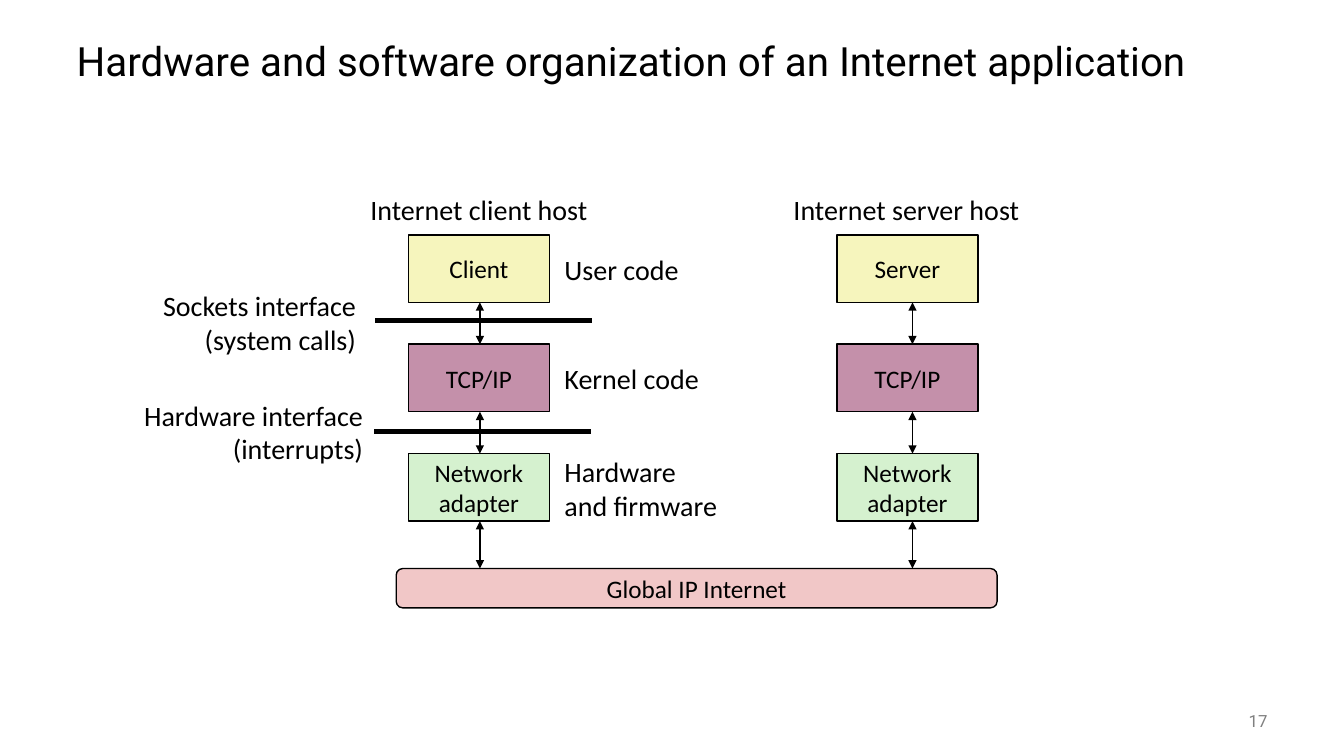
"""Build the slide on hardware and software organization of an Internet application."""
import pptx
import pptx.dml.color
import pptx.enum.shapes
import pptx.enum.text
import pptx.oxml
import pptx.oxml.ns
import pptx.util
from dataclasses import dataclass

Inches = pptx.util.Inches
Pt = pptx.util.Pt
RGB = pptx.dml.color.RGBColor.from_string
ALIGN = pptx.enum.text.PP_ALIGN
SHAPES = pptx.enum.shapes.MSO_SHAPE


@dataclass(frozen=True)
class Theme:
    heading_font: str = "Roboto"
    body_font: str = "Calibri"
    ink: str = "000000"
    page_number: str = "808080"
    user: str = "F6F5BD"
    kernel: str = "C490AA"
    hardware: str = "D5F1CF"
    internet: str = "F1C7C7"
    title_size: float = 28.8
    label_size: float = 20
    box_size: float = 18
    number_size: float = 12


theme = Theme()


def write(shape, lines, size, align, font=theme.body_font, color=theme.ink, wrap=False):
    frame = shape.text_frame
    frame.text = "\n".join(lines)
    frame.word_wrap = wrap
    frame.auto_size = pptx.enum.text.MSO_AUTO_SIZE.NONE
    frame.vertical_anchor = pptx.enum.text.MSO_ANCHOR.MIDDLE
    for paragraph in frame.paragraphs:
        paragraph.alignment = align
        paragraph.font.name = font
        paragraph.font.size = Pt(size)
        paragraph.font.color.rgb = RGB(color)


def draw_line(start, end, width, arrows=False):
    points = [Inches(value) for value in (*start, *end)]
    connector = slide.shapes.add_connector(pptx.enum.shapes.MSO_CONNECTOR.STRAIGHT, *points)
    connector.line.color.rgb = RGB(theme.ink)
    connector.line.width = Pt(width)
    if arrows:
        line_xml = connector.line._get_or_add_ln()
        for tag in ("a:headEnd", "a:tailEnd"):
            pptx.oxml.parse_xml(f'<{tag} {pptx.oxml.ns.nsdecls("a")} type="triangle"/>')
            line_xml.append(pptx.oxml.parse_xml(
                f'<{tag} {pptx.oxml.ns.nsdecls("a")} type="triangle"/>'))
    connector._element.spPr.append(
        pptx.oxml.parse_xml(f'<a:effectLst {pptx.oxml.ns.nsdecls("a")}/>'))


presentation = pptx.Presentation()
presentation.slide_width = Inches(13.33)
presentation.slide_height = Inches(7.5)
slide = presentation.slides.add_slide(presentation.slide_layouts[5])

title = slide.shapes.title
title.left, title.top, title.width, title.height = map(Inches, (0.66, 0.25, 12, 0.75))
write(title, ["Hardware and software organization of an Internet application"],
      theme.title_size, ALIGN.LEFT, theme.heading_font, wrap=True)
title.text_frame.paragraphs[0].line_spacing = 0.9

page_number = slide.shapes.add_textbox(*map(Inches, (11.67, 6.95, 1, 0.4)))
write(page_number, ["17"], theme.number_size, ALIGN.RIGHT,
      theme.heading_font, theme.page_number, wrap=True)

box_width, box_height = 1.4, 0.67
first_top, row_step = 2.33, 1.085
internet_top = 5.64
boxes = []
for host_left, arrow_x, program in ((4.05, 4.76, "Client"), (8.3, 9.05, "Server")):
    layers = (([program], theme.user), (["TCP/IP"], theme.kernel),
              (["Network", "adapter"], theme.hardware))
    for row, (lines, fill) in enumerate(layers):
        top = first_top + row * row_step
        boxes.append((SHAPES.RECTANGLE, (host_left, top, box_width, box_height), lines, fill))
        next_top = top + row_step if row < 2 else internet_top
        draw_line((arrow_x, top + box_height), (arrow_x, next_top), 1, arrows=True)
boxes.append((SHAPES.ROUNDED_RECTANGLE, (3.93, internet_top, 5.96, 0.39),
              ["Global IP Internet"], theme.internet))

for preset, bounds, lines, fill in boxes:
    box = slide.shapes.add_shape(preset, *map(Inches, bounds))
    box.shadow.inherit = False
    box.fill.solid()
    box.fill.fore_color.rgb = RGB(fill)
    box.line.color.rgb = RGB(theme.ink)
    box.line.width = Pt(1)
    write(box, lines, theme.box_size, ALIGN.CENTER)

labels = (
    ((3.56, 1.86, 2.38, 0.44), ["Internet client host"], ALIGN.CENTER),
    ((7.76, 1.86, 2.46, 0.44), ["Internet server host"], ALIGN.CENTER),
    ((1.49, 2.81, 2.14, 0.77), ["Sockets interface", "(system calls)"], ALIGN.RIGHT),
    ((1.3, 3.9, 2.4, 0.77), ["Hardware interface", "(interrupts)"], ALIGN.RIGHT),
    ((5.5, 2.45, 1.35, 0.44), ["User code"], ALIGN.LEFT),
    ((5.5, 3.53, 1.55, 0.44), ["Kernel code"], ALIGN.LEFT),
    ((5.5, 4.46, 1.73, 0.77), ["Hardware", "and firmware"], ALIGN.LEFT),
)
for bounds, lines, align in labels:
    write(slide.shapes.add_textbox(*map(Inches, bounds)), lines, theme.label_size, align)

for left, height in ((3.72, 3.18), (3.71, 4.28)):
    draw_line((left, height), (left + 2.15, height), 3)

presentation.save("out.pptx")
